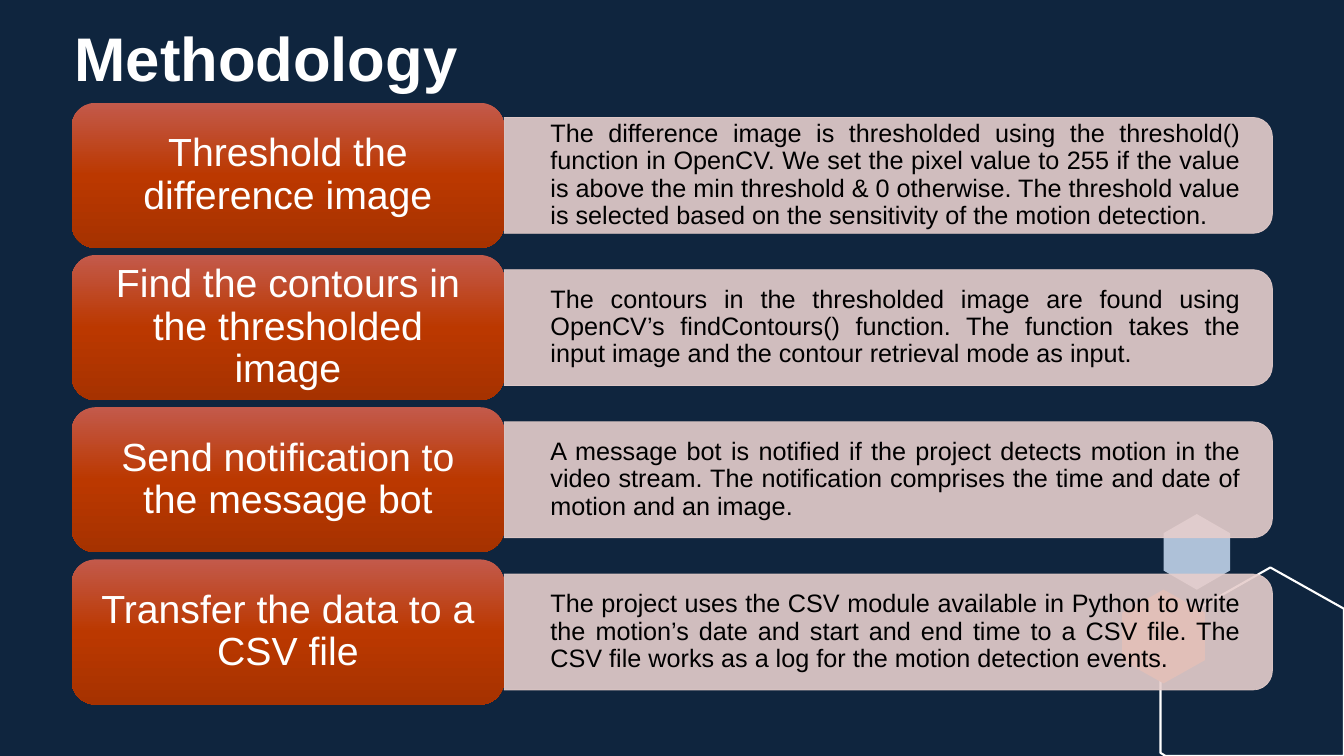
from lxml import etree
from pptx import Presentation
from pptx.dml.color import RGBColor
from pptx.enum.shapes import MSO_SHAPE
from pptx.enum.text import MSO_ANCHOR, PP_ALIGN
from pptx.oxml import parse_xml
from pptx.oxml.ns import qn
from pptx.util import Inches, Pt

ROUND, TAB = MSO_SHAPE.ROUNDED_RECTANGLE, MSO_SHAPE.ROUND_2_SAME_RECTANGLE
LEFT, CENTER, JUSTIFY = PP_ALIGN.LEFT, PP_ALIGN.CENTER, PP_ALIGN.JUSTIFY
MIDDLE = MSO_ANCHOR.MIDDLE
NAVY = RGBColor(0x0F, 0x25, 0x3E)
WHITE = RGBColor(0xFF, 0xFF, 0xFF)
BLACK = RGBColor(0, 0, 0)
BLUE = RGBColor(0xAE, 0xC1, 0xD8)
RUST = RGBColor(0xB8, 0x39, 0x03)
BLUSH = RGBColor(0xE6, 0xCE, 0xCC)
GRADE = (
    '<a:gradFill xmlns:a="http://schemas.openxmlformats.org/drawingml/2006/main"><a:gsLst>'
    '<a:gs pos="0"><a:srgbClr val="C35A4B"/></a:gs>'
    '<a:gs pos="50000"><a:srgbClr val="BB3800"/></a:gs>'
    '<a:gs pos="100000"><a:srgbClr val="A63200"/></a:gs>'
    '</a:gsLst><a:lin ang="5400000" scaled="0"/></a:gradFill>'
)

TOP, PITCH = 1.02, 1.51           # first row and row step
CARD_X, CARD_W, CARD_H = 0.71, 4.29, 1.44
BAR_X, BAR_W, BAR_H = CARD_X + CARD_W, 7.62, 1.15

STEPS = [
    ("Threshold the difference image",
     "The difference image is thresholded using the threshold() function in OpenCV. "
     "We set the pixel value to 255 if the value is above the min threshold & 0 otherwise. "
     "The threshold value is selected based on the sensitivity of the motion detection."),
    ("Find the contours in the thresholded image",
     "The contours in the thresholded image are found using OpenCV’s findContours() function. "
     "The function takes the input image and the contour retrieval mode as input."),
    ("Send notification to the message bot",
     "A message bot is notified if the project detects motion in the video stream. "
     "The notification comprises the time and date of motion and an image."),
    ("Transfer the data to a CSV file",
     "The project uses the CSV module available in Python to write the motion’s date "
     "and start and end time to a CSV file. "
     "The CSV file works as a log for the motion detection events."),
]

# Outlines in hundredths of an inch, with fill colour (None: white line only)
HEXES = [
    ([(1187, 510), (1220, 529), (1220, 566), (1187, 585), (1154, 566), (1154, 529)], BLUE),
    ([(1260, 563), (1333, 604), (1333, 750), (1156, 750), (1151, 747), (1151, 625)], None),
    ([(1154, 585), (1195, 608), (1195, 655), (1154, 678), (1113, 655), (1113, 608)], RUST),
]


def write(shape, text, size, color, align, pads, bold=False):
    """Put one vertically centred paragraph into a shape; pads are left, top, right, bottom."""
    frame = shape.text_frame
    frame.word_wrap = True
    frame.vertical_anchor = MIDDLE
    (frame.margin_left, frame.margin_top,
     frame.margin_right, frame.margin_bottom) = map(Inches, pads)
    para = frame.paragraphs[0]
    para.text = text
    para.alignment = align
    para.line_spacing = 0.9
    font = para.font
    font.name, font.size, font.bold = "Arial", Pt(size), bold
    font.color.rgb = color


def fade(fill):
    """Make a solid fill 90% opaque."""
    tint = fill.find(qn("a:solidFill"))[0]
    etree.SubElement(tint, qn("a:alpha")).set("val", "90000")


deck = Presentation()
deck.slide_width, deck.slide_height = Inches(13.33), Inches(7.5)
slide = deck.slides.add_slide(deck.slide_layouts[6])
slide.background.fill.solid()
slide.background.fill.fore_color.rgb = NAVY
shapes = slide.shapes

for points, color in HEXES:
    pen = shapes.build_freeform(*points[0], scale=Inches(0.01))
    pen.add_line_segments(points[1:], close=True)
    hexa = pen.convert_to_shape()
    hexa.shadow.inherit = False
    if color:
        hexa.fill.solid()
        hexa.fill.fore_color.rgb = color
        hexa.line.fill.background()
    else:
        hexa.fill.background()
        hexa.line.color.rgb = WHITE
        hexa.line.width = Pt(1.5)

title = shapes.add_textbox(Inches(0.64), Inches(0.21), Inches(11.91), Inches(0.8))
write(title, "Methodology", 44, WHITE, LEFT, (0.1, 0.05, 0.1, 0.05), bold=True)

for row, (head, body) in enumerate(STEPS):
    top = TOP + row * PITCH
    mid = top + CARD_H / 2

    # The bar is a tall tab turned on its side
    bar = shapes.add_shape(TAB, Inches(BAR_X + (BAR_W - BAR_H) / 2), Inches(mid - BAR_W / 2),
                           Inches(BAR_H), Inches(BAR_W))
    bar.rotation = 90
    bar.shadow.inherit = False
    bar.fill.solid()
    bar.fill.fore_color.rgb = BLUSH
    bar.line.color.rgb = BLUSH
    bar.line.width = Pt(0.5)
    fade(bar.fill._xPr)
    fade(bar.line._ln)

    note = shapes.add_textbox(Inches(BAR_X), Inches(mid - 0.52), Inches(7.57), Inches(1.04))
    write(note, body, 18, BLACK, JUSTIFY, (0.46, 0.14, 0.27, 0.14))

    card = shapes.add_shape(ROUND, Inches(CARD_X), Inches(top), Inches(CARD_W), Inches(CARD_H))
    card.line.fill.background()
    card.shadow.inherit = False
    card._element.spPr.find(qn("a:prstGeom")).addnext(parse_xml(GRADE))
    write(card, head, 28, WHITE, CENTER, (0.19, 0.13, 0.19, 0.13))

deck.save("out.pptx")
